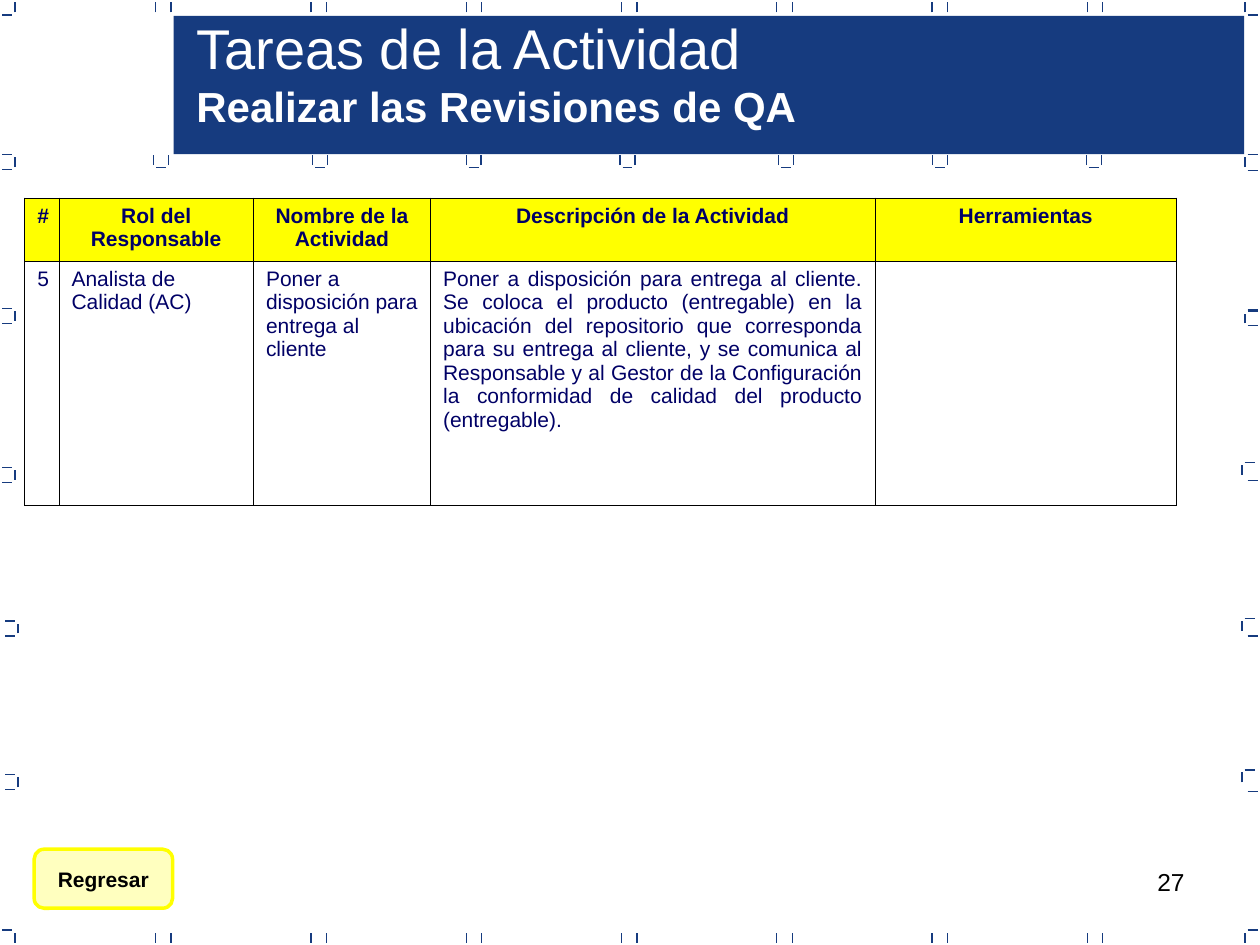
from pptx import Presentation
from pptx.dml.color import RGBColor
from pptx.enum.shapes import MSO_CONNECTOR as Line, MSO_SHAPE as Shape
from pptx.enum.text import MSO_ANCHOR as Anchor, PP_ALIGN as Align
from pptx.oxml import parse_xml
from pptx.oxml.ns import nsdecls
from pptx.util import Cm, Pt
from lxml.etree import SubElement

NAVY, INK, YELLOW, WHITE, BLACK = "163B7F", "000066", "FFFF00", "FFFFFF", "000000"
color = RGBColor.from_string

prs = Presentation()
prs.slide_width, prs.slide_height = Cm(25.4), Cm(19.05)
slide = prs.slides.add_slide(prs.slide_layouts[6])
shapes = slide.shapes


def tick(x1, y1, x2, y2):
    mark = shapes.add_connector(Line.STRAIGHT, Cm(x1), Cm(y1), Cm(x2), Cm(y2))
    mark.line.color.rgb = color(NAVY)
    mark.line.width = Pt(0.75)
    mark._element.spPr.append(parse_xml(f"<a:effectLst {nsdecls('a')}/>"))


def style(paragraph, size, ink, bold=False, align=Align.LEFT):
    paragraph.alignment = align
    for run in paragraph.runs:
        run.font.name = "Arial"
        run.font.size = Pt(size)
        run.font.bold = bold
        run.font.color.rgb = color(ink)


# Pairs of ticks along the top and bottom edges
for column in range(7):
    right = 3.45 + 3.13 * column
    for x in (right, right - 0.31):
        for top in (0.05, 18.8):
            tick(x, top + 0.2, x, top)

# Brackets under the banner
for x in (3.4, 6.6, 9.7, 12.8, 16, 19.1, 22.2):
    tick(x, 3.33, x, 3.13)
    tick(x - 0.3, 3.33, x - 0.3, 3.13)
    tick(x - 0.25, 3.38, x - 0.05, 3.38)

# Brackets down the left edge, open at the two corners
for x, y in ((0.3, 0), (0.3, 3.12), (0.3, 6.22), (0.3, 9.42),
             (0.36, 12.52), (0.36, 15.62), (0.3, 18.75)):
    tick(x, y + 0.25, x, y + 0.05)
    if y > 0:
        tick(x - 0.25, y, x - 0.05, y)
    if y < 18:
        tick(x - 0.25, y + 0.3, x - 0.05, y + 0.3)

# Brackets down the right edge
for x, y in ((25.1, 0), (25.1, 3.12), (25.1, 6.27), (25.04, 9.32),
             (25.04, 12.47), (25.04, 15.52), (25.1, 18.75)):
    tick(x, y + 0.25, x, y + 0.05)
    if y > 0:
        tick(x + 0.05, y, x + 0.25, y)
for y in [0.3 + 3.13 * step for step in range(6)] + [6.25]:
    tick(25.15, y, 25.35, y)

# Banner
banner = shapes.add_shape(Shape.RECTANGLE, Cm(3.5), Cm(0.32), Cm(21.58), Cm(2.79))
banner.shadow.inherit = False
banner.fill.solid()
banner.fill.fore_color.rgb = color(NAVY)
banner.line.fill.background()

# Title and subtitle
title = shapes.add_textbox(Cm(3.71), Cm(0.15), Cm(16.61), Cm(2.64)).text_frame
title.word_wrap = True
title.text = "Tareas de la Actividad\nRealizar las Revisiones de QA"
style(title.paragraphs[0], 32, WHITE)
style(title.paragraphs[1], 24, WHITE, bold=True)

# Task table
rows = (
    ("#", "Rol del Responsable", "Nombre de la Actividad",
     "Descripción de la Actividad", "Herramientas"),
    ("5", "Analista de Calidad (AC)", "Poner a disposición para entrega al cliente",
     "Poner a disposición para entrega al cliente. Se coloca el producto (entregable) "
     "en la ubicación del repositorio que corresponda para su entrega al cliente, y se "
     "comunica al Responsable y al Gestor de la Configuración la conformidad de calidad "
     "del producto (entregable).", ""),
)
body_aligns = (Align.CENTER, Align.LEFT, Align.LEFT, Align.JUSTIFY, Align.LEFT)
tasks = shapes.add_table(2, 5, Cm(0.5), Cm(3.99), Cm(23.22), Cm(6.2)).table
tasks.first_row = tasks.horz_banding = False
for column, width in zip(tasks.columns, (0.69, 3.92, 3.57, 8.96, 6.08)):
    column.width = Cm(width)
for row, height in zip(tasks.rows, (1.27, 4.93)):
    row.height = Cm(height)

for r, texts in enumerate(rows):
    header = r == 0
    for c, text in enumerate(texts):
        cell = tasks.cell(r, c)
        cell.text_frame.text = text
        style(cell.text_frame.paragraphs[0], 12, INK, header,
              Align.CENTER if header else body_aligns[c])
        properties = cell._tc.get_or_add_tcPr()
        for side in "LRTB":
            properties.append(parse_xml(
                f'<a:ln{side} {nsdecls("a")} w="5715"><a:solidFill>'
                f'<a:srgbClr val="{BLACK}"/></a:solidFill></a:ln{side}>'))
        if header:
            cell.fill.solid()
            cell.fill.fore_color.rgb = color(YELLOW)
        else:
            cell.fill.background()

# Return button with a translucent fill
button = shapes.add_shape(Shape.FLOWCHART_ALTERNATE_PROCESS,
                          Cm(0.69), Cm(17.12), Cm(2.79), Cm(1.19))
button.shadow.inherit = False
button.fill.solid()
button.fill.fore_color.rgb = color(YELLOW)
tint = button._element.spPr.find(".//{*}solidFill/{*}srgbClr")
SubElement(tint, tint.tag.replace("srgbClr", "alpha"), val="25000")
button.line.color.rgb = color(YELLOW)
button.line.width = Pt(2)
button.text_frame.word_wrap = False
button.text_frame.vertical_anchor = Anchor.MIDDLE
button.text_frame.text = "Regresar"
style(button.text_frame.paragraphs[0], 12, BLACK, True, Align.CENTER)

# Page number
page = shapes.add_textbox(Cm(18.21), Cm(17.35), Cm(5.92), Cm(1.32)).text_frame
page.word_wrap = True
page.text = "27"
style(page.paragraphs[0], 14, BLACK, align=Align.RIGHT)

prs.save("out.pptx")
